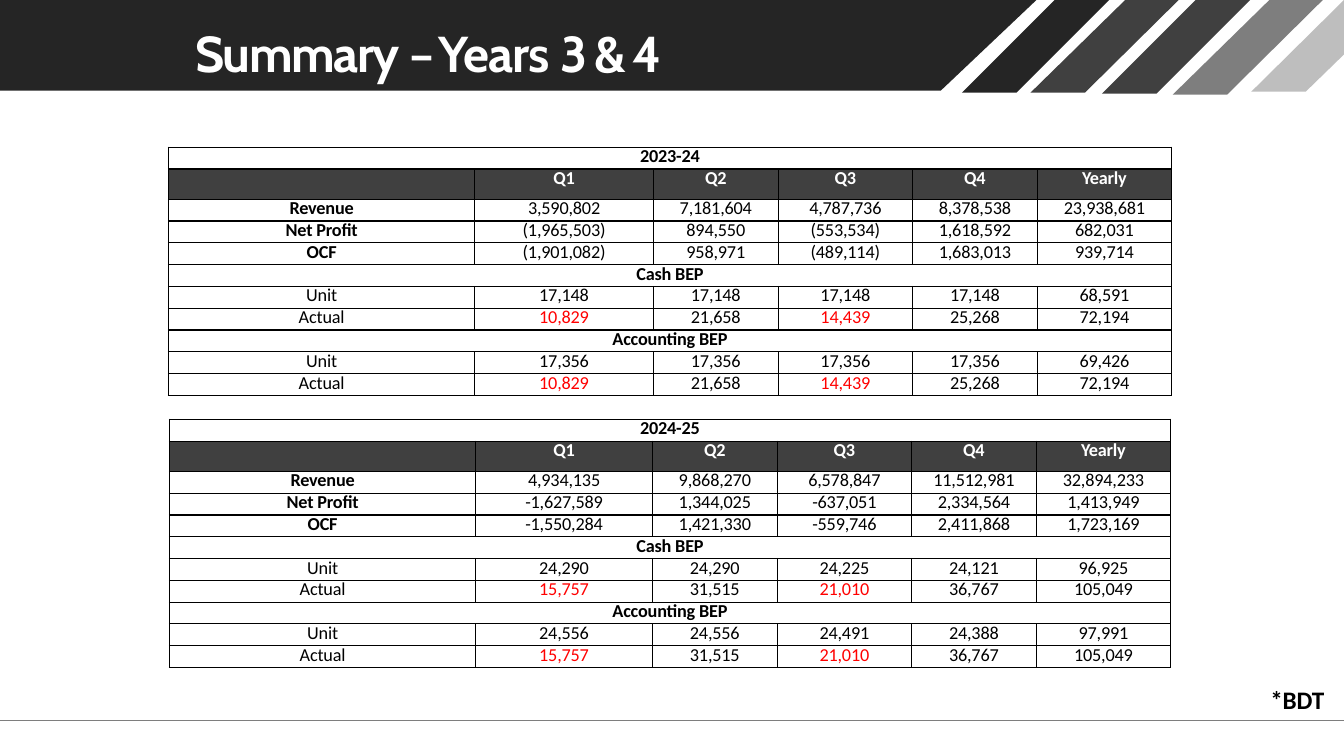
from lxml import etree
from pptx import Presentation
from pptx.dml.color import RGBColor
from pptx.enum import shapes, text
from pptx.oxml import ns
from pptx.util import Inches, Pt

BLACK = RGBColor(0x00, 0x00, 0x00)
WHITE = RGBColor(0xFF, 0xFF, 0xFF)
RED = RGBColor(0xFF, 0x00, 0x00)
INK = RGBColor(0x25, 0x25, 0x25)
CHARCOAL = RGBColor(0x40, 0x40, 0x40)
GREY = RGBColor(0x7E, 0x7E, 0x7E)
SILVER = RGBColor(0xBE, 0xBE, 0xBE)

# Content: runs are (text, letter spacing in points)
TITLE = [("Summary ", -1.1), ("– ", -5), ("Years ", -0.8),
         ("3 ", -2.8), ("& ", -3.7), ("4", -3.2)]
FOOTNOTE = [("*BDT", -0.2)]
HEADINGS = ["", "Q1", "Q2", "Q3", "Q4", "Yearly"]
BOLD_LABELS = {"Revenue", "Net Profit", "OCF"}

YEARS = [
    {"left": 1.67, "top": 1.46, "columns": [3.04, 1.77, 1.24, 1.33, 1.24, 1.33],
     "rows": [
         ["2023-24"],
         HEADINGS,
         ["Revenue", "3,590,802", "7,181,604", "4,787,736", "8,378,538", "23,938,681"],
         ["Net Profit", "(1,965,503)", "894,550", "(553,534)", "1,618,592", "682,031"],
         ["OCF", "(1,901,082)", "958,971", "(489,114)", "1,683,013", "939,714"],
         ["Cash BEP"],
         ["Unit", "17,148", "17,148", "17,148", "17,148", "68,591"],
         ["Actual", "10,829", "21,658", "14,439", "25,268", "72,194"],
         ["Accounting BEP"],
         ["Unit", "17,356", "17,356", "17,356", "17,356", "69,426"],
         ["Actual", "10,829", "21,658", "14,439", "25,268", "72,194"]]},
    {"left": 1.68, "top": 4.16, "columns": [3.04, 1.75, 1.24, 1.33, 1.24, 1.33],
     "rows": [
         ["2024-25"],
         HEADINGS,
         ["Revenue", "4,934,135", "9,868,270", "6,578,847", "11,512,981", "32,894,233"],
         ["Net Profit", "-1,627,589", "1,344,025", "-637,051", "2,334,564", "1,413,949"],
         ["OCF", "-1,550,284", "1,421,330", "-559,746", "2,411,868", "1,723,169"],
         ["Cash BEP"],
         ["Unit", "24,290", "24,290", "24,225", "24,121", "96,925"],
         ["Actual", "15,757", "31,515", "21,010", "36,767", "105,049"],
         ["Accounting BEP"],
         ["Unit", "24,556", "24,556", "24,491", "24,388", "97,991"],
         ["Actual", "15,757", "31,515", "21,010", "36,767", "105,049"]]},
]
TABLE_HEIGHT = 2.38

# Header band and stripes: colour and corner points
BANDS = [
    (INK, [(10.28, 0), (0, 0), (0, 0.9), (9.33, 0.9)]),
    (INK, [(11, 0), (10.46, 0), (9.54, 0.92), (10.08, 0.92)]),
    (CHARCOAL, [(11.69, 0), (11.16, 0), (10.22, 0.92), (10.76, 0.92)]),
    (CHARCOAL, [(12.4, 0), (11.86, 0), (10.93, 0.93), (11.47, 0.93)]),
    (GREY, [(13.12, 0), (12.59, 0), (11.63, 0.94), (12.17, 0.94)]),
    (SILVER, [(13.33, 0), (12.41, 0.91), (12.95, 0.91), (13.33, 0.54)]),
]


def add_span(para, words, font, size, color, bold, spacing):
    span = para.add_run()
    span.text = words
    span.font.name = font
    span.font.size = Pt(size)
    span.font.color.rgb = color
    span.font.bold = bold
    span.font._element.set("spc", str(round(spacing * 100)))


def add_label(page, place, spans, font, size, color):
    box = page.shapes.add_textbox(*[Inches(n) for n in place])
    frame = box.text_frame
    frame.word_wrap = True
    frame.margin_left = frame.margin_top = 0
    frame.margin_right = frame.margin_bottom = 0
    for words, spacing in spans:
        add_span(frame.paragraphs[0], words, font, size, color, True, spacing)
    return frame.paragraphs[0]


def add_band(page, color, corners):
    points = [(Inches(x), Inches(y)) for x, y in corners]
    builder = page.shapes.build_freeform(*points[0])
    builder.add_line_segments(points[1:], close=True)
    band = builder.convert_to_shape()
    band.shadow.inherit = False
    band.fill.solid()
    band.fill.fore_color.rgb = color
    band.line.fill.background()


def add_borders(cell):
    properties = cell._tc.get_or_add_tcPr()
    for index, side in enumerate(("lnL", "lnR", "lnT", "lnB")):
        line = etree.Element(ns.qn("a:" + side), w=str(Pt(1)))
        fill = etree.SubElement(line, ns.qn("a:solidFill"))
        etree.SubElement(fill, ns.qn("a:srgbClr"), val=str(BLACK))
        properties.insert(index, line)


def number(words):
    return int(words.replace(",", ""))


def add_year(page, year):
    rows, columns = year["rows"], year["columns"]
    grid = page.shapes.add_table(
        len(rows), len(columns), Inches(year["left"]), Inches(year["top"]),
        Inches(sum(columns)), Inches(TABLE_HEIGHT)).table
    grid.first_row = grid.horz_banding = False
    for column, width in zip(grid.columns, columns):
        column.width = Inches(width)
    for r, values in enumerate(rows):
        grid.rows[r].height = Inches(TABLE_HEIGHT / len(rows))
        section = len(values) == 1
        heading = values is HEADINGS
        for c in range(len(columns)):
            cell = grid.cell(r, c)
            cell.margin_left = cell.margin_right = 0
            cell.margin_top = cell.margin_bottom = 0
            if heading:
                cell.fill.solid()
                cell.fill.fore_color.rgb = CHARCOAL
            else:
                cell.fill.background()
            add_borders(cell)
            para = cell.text_frame.paragraphs[0]
            para.alignment = text.PP_ALIGN.CENTER
            para.line_spacing = Pt(14.6)
            if c < len(values) and values[c]:
                # Actual sales below the break-even unit count turn red
                short = (values[0] == "Actual" and c > 0
                         and number(values[c]) < number(rows[r - 1][c]))
                color = WHITE if heading else RED if short else BLACK
                bold = section or heading or values[c] in BOLD_LABELS
                add_span(para, values[c], "Calibri", 13, color, bold, -0.1)
        if section:
            grid.cell(r, 0).merge(grid.cell(r, len(columns) - 1))


def main():
    deck = Presentation()
    deck.slide_width, deck.slide_height = Inches(13.33), Inches(7.5)
    page = deck.slides.add_slide(deck.slide_layouts[6])

    # Header
    for color, corners in BANDS:
        add_band(page, color, corners)
    add_label(page, (1.94, 0.22, 6.88, 0.63), TITLE, "Cabin", 36, WHITE)

    # Footer rule and footnote
    rule = page.shapes.add_connector(
        shapes.MSO_CONNECTOR.STRAIGHT, 0, Inches(7.15), Inches(13.33), Inches(7.15))
    rule.line.color.rgb = GREY
    rule.line.width = Pt(0.72)
    etree.SubElement(rule._element.spPr, ns.qn("a:effectLst"))
    note = add_label(page, (12.6, 6.84, 0.6, 0.28), FOOTNOTE, "Calibri", 18, BLACK)
    note.line_spacing = Pt(18.1)

    # Yearly tables
    for year in YEARS:
        add_year(page, year)
    deck.save("out.pptx")


if __name__ == "__main__":
    main()
